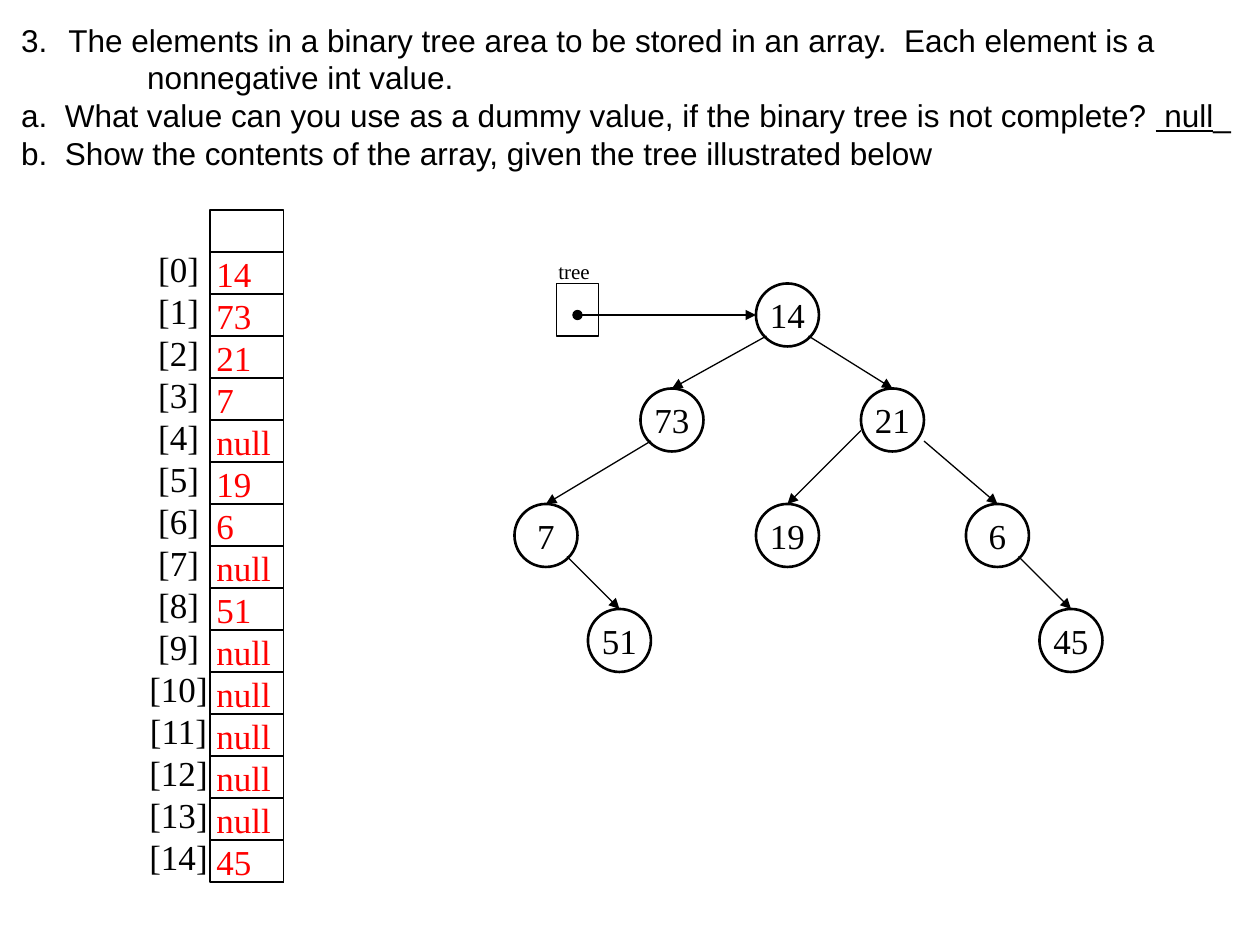
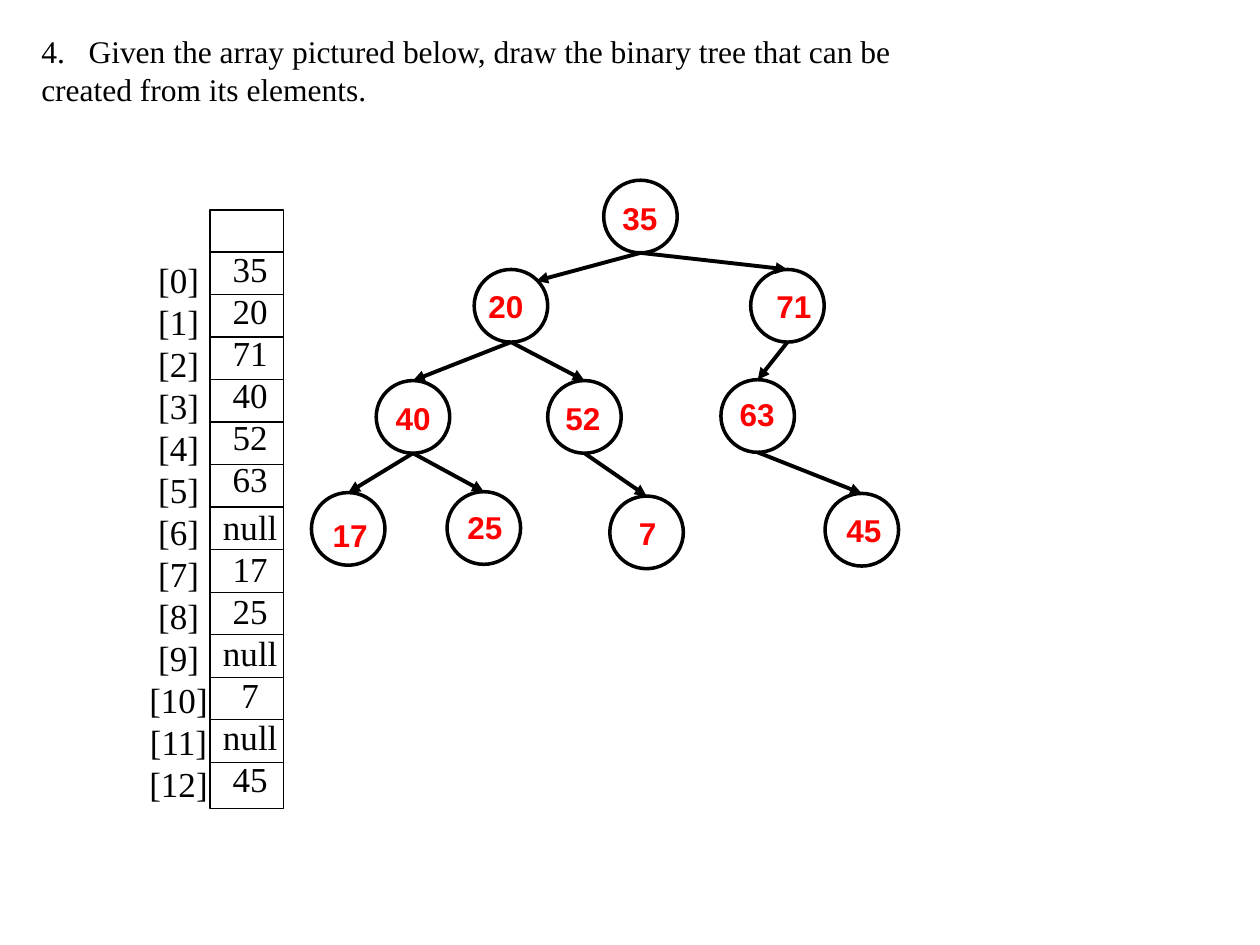
import pptx
import pptx.dml.color
import pptx.enum.shapes
import pptx.enum.text
import pptx.oxml.ns
import pptx.util
import lxml.etree

Pt = pptx.util.Pt
SHAPE = pptx.enum.shapes.MSO_SHAPE
ALIGN = pptx.enum.text.PP_ALIGN
MIDDLE = pptx.enum.text.MSO_ANCHOR.MIDDLE
qn = pptx.oxml.ns.qn

BLACK, RED = "000000", "FF0000"
SERIF, SANS = "Times New Roman", "Arial"


def color(code):
    """Turn a hex string into a colour."""
    return pptx.dml.color.RGBColor.from_string(code)


def write(frame, rows, size, face=SERIF, ink=BLACK, bold=False,
          align=ALIGN.LEFT, lead=None, wrap=False):
    """Fill a text frame with one paragraph per row."""
    frame.word_wrap = wrap
    for i, row in enumerate(rows):
        para = frame.paragraphs[0] if i == 0 else frame.add_paragraph()
        para.alignment = align
        if lead:
            para.line_spacing = Pt(lead)
        para.font.size, para.font.name, para.font.bold = Pt(size), face, bold
        para.font.color.rgb = color(ink)
        para.add_run().text = row


def label(shapes, left, top, wide, high, rows, size, **style):
    """Add a text box and return its frame."""
    frame = shapes.add_textbox(Pt(left), Pt(top), Pt(wide), Pt(high)).text_frame
    write(frame, rows, size, **style)
    return frame


def outline(shapes, kind, left, top, wide, high, width):
    """Add an unfilled shape with a black outline."""
    shape = shapes.add_shape(kind, Pt(left), Pt(top), Pt(wide), Pt(high))
    shape.shadow.inherit = False
    shape.fill.background()
    shape.line.color.rgb = color(BLACK)
    shape.line.width = Pt(width)
    return shape


def link(shapes, start, end, width, head=None, tail=None):
    """Draw a straight line with optional ends."""
    line = shapes.add_connector(pptx.enum.shapes.MSO_CONNECTOR.STRAIGHT,
                                *(Pt(v) for v in (*start, *end)))
    line.line.color.rgb = color(BLACK)
    line.line.width = Pt(width)
    props = line.element.spPr
    for tag, kind in (("a:headEnd", head), ("a:tailEnd", tail)):
        if kind:
            lxml.etree.SubElement(props.find(qn("a:ln")), qn(tag), type=kind)
    lxml.etree.SubElement(props, qn("a:effectLst"))


def indent(para, margin, start=None):
    """Hang a paragraph and number it when a start is given."""
    props = para._p.get_or_add_pPr()
    props.set("marL", str(Pt(margin)))
    props.set("indent", str(Pt(-27)))
    if start:
        mark = lxml.etree.Element(qn("a:buAutoNum"), type="arabicPeriod",
                                  startAt=str(start))
        props.find(qn("a:defRPr")).addprevious(mark)


def array(slide, left, top, high, step, rules, count, drop):
    """Draw the array cells with their index labels."""
    shapes = slide.shapes.add_group_shape().shapes
    outline(shapes, SHAPE.RECTANGLE, left, top, 42, high, 0.75)
    label(shapes, left - 42, top + drop, 48, 24 * count + 8,
          [f"[{i}]" for i in range(count)], 20, align=ALIGN.CENTER, lead=24)
    for i in range(rules):
        y = top + 24 + i * step
        link(shapes, (left, y), (left + 42, y), 0.75)


def filled(slide, left, top):
    """Draw the given tree and its root pointer."""
    shapes = slide.shapes
    nodes = {"14": (138, 18), "73": (72, 78), "21": (198, 78), "7": (0, 144),
             "51": (42, 204), "19": (138, 144), "6": (258, 144), "45": (300, 204)}
    edges = [("14", "73", 6, 30), ("14", "21", 30, 30), ("73", "7", 6, 30),
             ("21", "19", 0, 24), ("7", "51", 30, 30), ("21", "6", 36, 30),
             ("6", "45", 30, 30)]
    spots = {name: (left + x, top + y) for name, (x, y) in nodes.items()}
    for name, (x, y) in spots.items():
        node = outline(shapes, SHAPE.OVAL, x, y, 36, 36, 1.5)
        node.text_frame.vertical_anchor = MIDDLE
        write(node.text_frame, [name], 20, align=ALIGN.CENTER)
    for parent, child, dx, dy in edges:
        (px, py), (cx, cy) = spots[parent], spots[child]
        link(shapes, (px + dx, py + dy), (cx + 18, cy), 0.75, tail="triangle")
    outline(shapes, SHAPE.RECTANGLE, left + 24, top + 18, 24, 30, 0.75)
    link(shapes, (left + 36, top + 36), (left + 138, top + 36), 0.75,
         head="oval", tail="triangle")
    label(shapes, left + 18, top, 32.5, 21.5, ["tree"], 12)


def answer(slide, left, top):
    """Draw the answer tree with red values."""
    shapes = slide.shapes
    nodes = {"35": (167, 0, 3.5, 7), "20": (93, 51, 1, 6.5),
             "71": (251, 51, 7.5, 6.5), "40": (37, 114.5, 4, 7),
             "52": (135, 114.5, 3, 7), "63": (234, 114, 3.5, 5),
             "17": (0, 178.5, 5, 10), "25": (77.5, 178, 4.5, 5.5),
             "7": (170.5, 180.5, 9.5, 6.5), "45": (293.5, 179, 5, 6.5)}
    edges = [("35", "20", 35.5, 6.5), ("35", "71", 21, 0), ("20", "40", 21, 0),
             ("20", "52", 21, 0), ("71", "63", 21, 0), ("63", "45", 21, 0),
             ("40", "17", 21, 0), ("40", "25", 21, 0), ("52", "7", 21, 0)]
    for name, (x, y, dx, dy) in nodes.items():
        outline(shapes, SHAPE.OVAL, left + x, top + y, 42, 41.5, 2)
        label(shapes, left + x + dx, top + y + dy, 14.5 + 10 * len(name), 29,
              [name], 18, face=SANS, ink=RED, bold=True)
    for parent, child, dx, dy in edges:
        (px, py), (cx, cy) = nodes[parent][:2], nodes[child][:2]
        link(shapes, (left + px + 21, top + py + 41.5),
             (left + cx + dx, top + cy + dy), 2.25, tail="triangle")


def store(slide):
    """Build the slide that stores a tree in an array."""
    rows = ["The elements in a binary tree area to be stored in an array.  Each element is a",
            "nonnegative int value.",
            "a.  What value can you use as a dummy value, if the binary tree is not complete? ",
            "b.  Show the contents of the array, given the tree illustrated below"]
    paras = label(slide.shapes, 5, 8.5, 712, 94.5, rows, 18, face=SANS,
                  lead=21.5, wrap=True).paragraphs
    for para, margin, start in zip(paras, (27, 99, 27, 27), (3, None, None, None)):
        indent(para, margin, start)
    blank = paras[2].add_run()
    blank.text = " null"
    blank.font.underline = True
    paras[2].add_run().text = "_"
    filled(slide, 294, 144)
    array(slide, 120, 120, 384, 24, 16, 15, 18)
    cells = "14 73 21 7 null 19 6 null 51 null null null null null 45".split()
    label(slide.shapes, 116.5, 140.5, 57, 371, cells, 20, ink=RED, lead=24, wrap=True)


def build(slide):
    """Build the slide that draws a tree from an array."""
    array(slide, 120, 120, 342, 24.3, 13, 13, 24)
    rows = ["Given the array pictured below, draw the binary tree that can be",
            "created from its elements."]
    paras = label(slide.shapes, 16.5, 15, 505.5, 51, rows, 18, lead=21.5,
                  wrap=True).paragraphs
    indent(paras[0], 27, 4)
    cells = "35 20 71 40 52 63 null 17 25 null 7 null 45".split()
    frame = label(slide.shapes, 120, 138, 46, 322, cells, 20,
                  align=ALIGN.CENTER, lead=24)
    frame.paragraphs[6].space_before = Pt(3)
    answer(slide, 178, 103)


def main():
    """Make the deck and save it."""
    deck = pptx.Presentation()
    deck.slide_width, deck.slide_height = Pt(720), Pt(540)
    for make in (store, build):
        make(deck.slides.add_slide(deck.slide_layouts[6]))
    deck.save("out.pptx")


if __name__ == "__main__":
    main()
